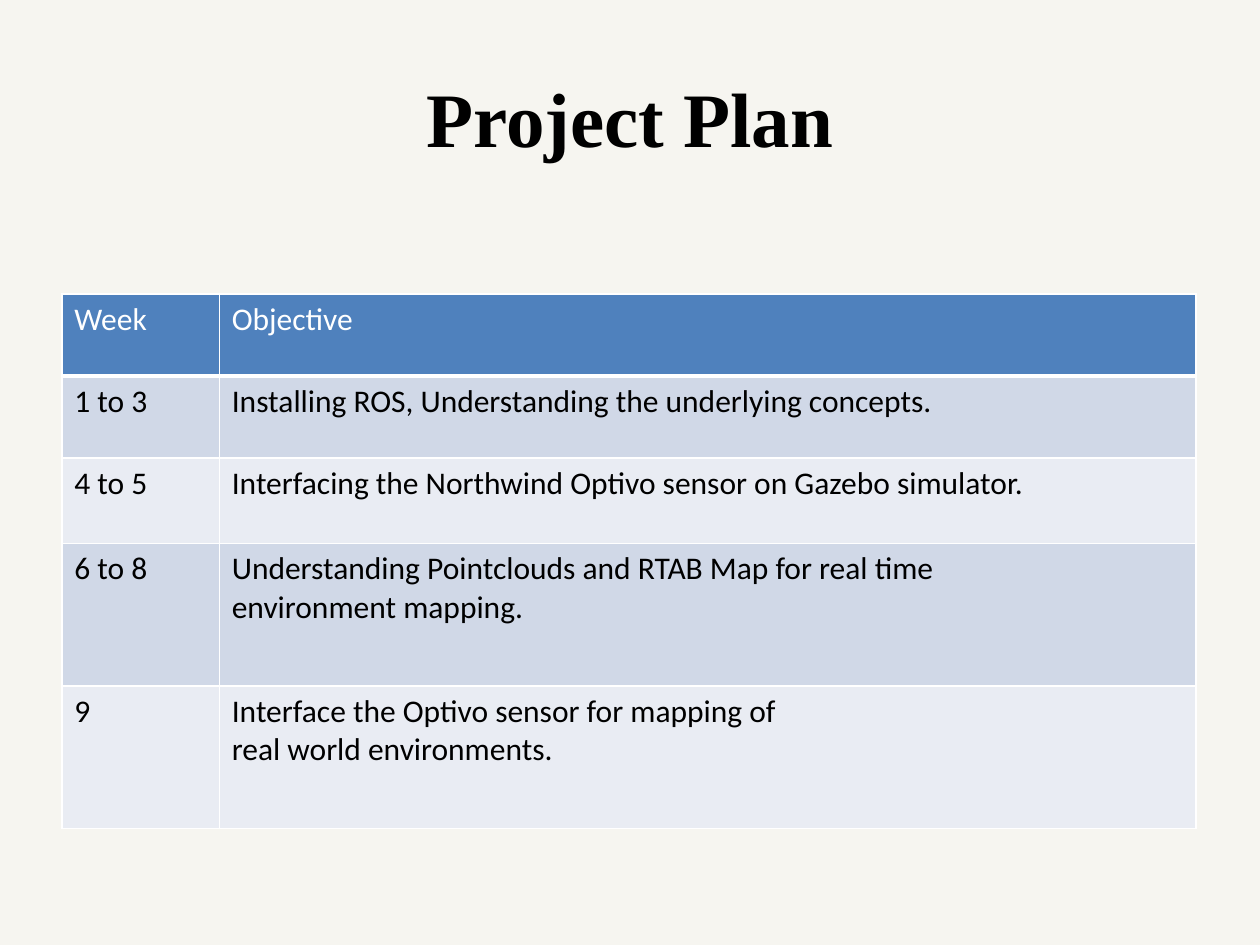
from dataclasses import dataclass

from lxml import etree
from pptx import Presentation
from pptx.dml.color import RGBColor
from pptx.enum import text
from pptx.oxml import ns
from pptx.util import Pt


@dataclass
class Theme:
    background: str = "F6F5F0"
    ink: str = "000000"
    white: str = "FFFFFF"
    header: str = "4F81BD"
    bands: tuple = ("D0D8E7", "E9ECF3")
    title_font: str = "Times New Roman"
    body_font: str = "Calibri"
    title_size: int = 44
    body_size: int = 18
    rule: float = 0.96
    header_rule: float = 3


theme = Theme()


def add_span(para, words, font, size, color, bold=False):
    span = para.add_run()
    span.text = words
    span.font.name = font
    span.font.size = Pt(size)
    span.font.bold = bold
    span.font.color.rgb = RGBColor.from_string(color)


def add_border(cell, side, width):
    line = etree.SubElement(cell._tc.get_or_add_tcPr(), ns.qn(f"a:{side}"), w=str(Pt(width)))
    fill = etree.SubElement(line, ns.qn("a:solidFill"))
    etree.SubElement(fill, ns.qn("a:srgbClr"), val=theme.white)


# Page
deck = Presentation()
deck.slide_width, deck.slide_height = Pt(720), Pt(540)
page = deck.slides.add_slide(deck.slide_layouts[6])
page.background.fill.solid()
page.background.fill.fore_color.rgb = RGBColor.from_string(theme.background)

# Title
title = page.shapes.add_textbox(Pt(36), Pt(21.6), Pt(648), Pt(90)).text_frame
title.word_wrap = True
title.vertical_anchor = text.MSO_ANCHOR.MIDDLE
title.paragraphs[0].alignment = text.PP_ALIGN.CENTER
add_span(title.paragraphs[0], "Project Plan", theme.title_font, theme.title_size, theme.ink, True)

# Plan: row height, week, lines of the objective
plan = [
    (46.8, "Week", ["Objective"]),
    (46.8, "1 to 3", ["Installing ROS, Understanding the underlying concepts."]),
    (49, "4 to 5", ["Interfacing the Northwind Optivo sensor on Gazebo simulator."]),
    (81.4, "6 to 8", ["Understanding Pointclouds and RTAB Map for real time",
                      "environment mapping."]),
    (81.4, "9", ["Interface the Optivo sensor for mapping of",
                 "real world environments."]),
]
column_widths = (90, 558)
total_height = sum(height for height, _, _ in plan)
table = page.shapes.add_table(len(plan), len(column_widths), Pt(35.3), Pt(168),
                              Pt(sum(column_widths)), Pt(total_height)).table
for column, width in zip(table.columns, column_widths):
    column.width = Pt(width)

# Table cells
for row, (height, week, objective) in enumerate(plan):
    table.rows[row].height = Pt(height)
    color = theme.ink if row else theme.white
    fill_color = theme.bands[(row - 1) % 2] if row else theme.header
    for column, lines in enumerate(([week], objective)):
        cell = table.cell(row, column)
        for number, words in enumerate(lines):
            frame = cell.text_frame
            para = frame.add_paragraph() if number else frame.paragraphs[0]
            add_span(para, words, theme.body_font, theme.body_size, color)
        # Borders go before the fill in the cell properties
        for side in ("lnL", "lnR", "lnT", "lnB"):
            under_header = (row, side) in ((0, "lnB"), (1, "lnT"))
            add_border(cell, side, theme.header_rule if under_header else theme.rule)
        cell.fill.solid()
        cell.fill.fore_color.rgb = RGBColor.from_string(fill_color)

deck.save("out.pptx")
